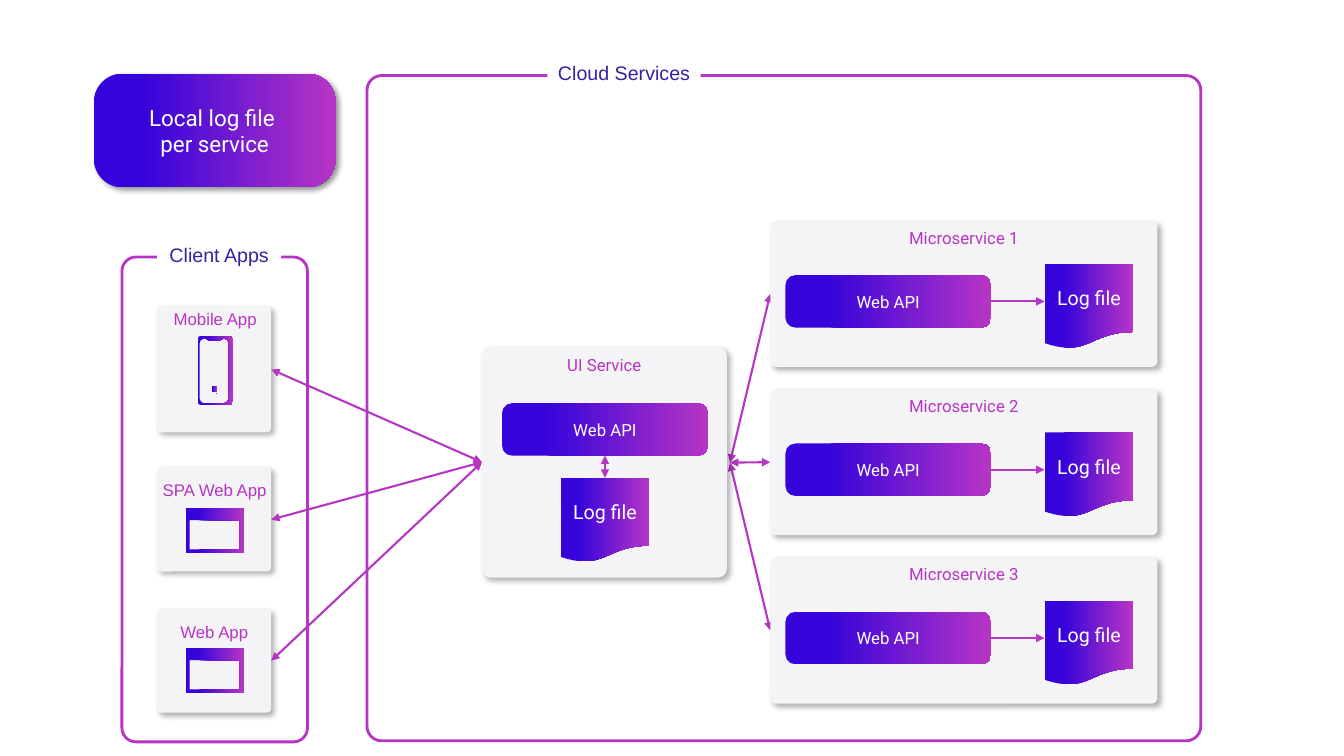
import math
from pptx import Presentation
from pptx.dml.color import RGBColor
from pptx.enum import shapes, text
from pptx.oxml import parse_xml
from pptx.oxml.ns import nsdecls, qn
from pptx import util as u

COLORS = {"blue": "3604DB", "magenta": "B735C4", "card": "F4F3F5",
          "title": "3A20A0", "white": "FFFFFF", "shadow": "000000"}
TOP, LEFT, BOTTOM, RIGHT = range(4)
RECT = shapes.MSO_SHAPE.RECTANGLE
ROUND = shapes.MSO_SHAPE.ROUNDED_RECTANGLE
DOCUMENT = shapes.MSO_SHAPE.FLOWCHART_DOCUMENT


def rgb(name):
    return RGBColor.from_string(COLORS[name])


def rounded(left, top, width, height, radius, steps=5):
    """Clockwise outline points, starting with the top left corner."""
    right, bottom = left + width, top + height
    centers = [(left + radius, top + radius), (right - radius, top + radius),
               (right - radius, bottom - radius), (left + radius, bottom - radius)]
    points = []
    for corner, (cx, cy) in enumerate(centers):
        for step in range(steps):
            a = math.radians(180 + 90 * (corner + step / (steps - 1)))
            points.append((cx + radius * math.cos(a), cy + radius * math.sin(a)))
    return points


class Diagram:
    def __init__(self, slide):
        self.shapes = slide.shapes

    def paint(self, sp, fill):
        sp.shadow.inherit = False
        sp.line.fill.background()
        if fill == "gradient":
            sp.fill.gradient()
            sp.fill.gradient_angle = 0
            for stop, position, color in zip(sp.fill.gradient_stops, (0.21, 1), ("blue", "magenta")):
                stop.position = position
                stop.color.rgb = rgb(color)
        elif fill:
            sp.fill.solid()
            sp.fill.fore_color.rgb = rgb(fill)
        else:
            sp.fill.background()

    def add_text(self, sp, lines, size, color, font="Roboto", anchor="MIDDLE", wrap=True):
        tf = sp.text_frame
        tf.word_wrap = wrap
        tf.vertical_anchor = text.MSO_ANCHOR[anchor]
        for i, line in enumerate(lines):
            p = tf.add_paragraph() if i else tf.paragraphs[0]
            p.alignment = text.PP_ALIGN.CENTER
            r = p.add_run()
            r.text = line
            r.font.size = u.Pt(size)
            r.font.name = font
            r.font.color.rgb = rgb(color)

    def box(self, kind, at, fill=None, radius=None):
        sp = self.shapes.add_shape(kind, *map(u.Inches, at))
        if radius is not None:
            sp.adjustments[0] = radius
        self.paint(sp, fill)
        return sp

    def cast_shadow(self, sp, alpha):
        effects = sp._element.spPr.find(qn("a:effectLst"))
        effects.append(parse_xml(
            f'<a:outerShdw {nsdecls("a")} blurRad="{u.Pt(4)}" dist="{u.Pt(3)}" dir="2700000" '
            f'algn="tl" rotWithShape="0"><a:srgbClr val="{COLORS["shadow"]}">'
            f'<a:alpha val="{alpha * 1000}"/></a:srgbClr></a:outerShdw>'))

    def card(self, at, title=None):
        sp = self.box(ROUND, at, "card", 0.039)
        self.cast_shadow(sp, 30)
        if title:
            self.add_text(sp, [title], 12, "magenta", anchor="TOP")
        return sp

    def frame(self, at, radius, title, title_at):
        sp = self.box(ROUND, at, radius=radius)
        sp.line.color.rgb = rgb("magenta")
        sp.line.width = u.Pt(2)
        plate = self.box(RECT, title_at, "white")
        self.add_text(plate, [title], 14, "title", "Arial", "TOP")

    def label(self, at, words):
        sp = self.shapes.add_textbox(*map(u.Inches, at))
        self.add_text(sp, [words], 12, "magenta", "Arial", "TOP", wrap=False)

    def web_api(self, left, top):
        sp = self.box(ROUND, (left, top, 2.04, 0.52), "gradient", 0.19)
        self.add_text(sp, ["Web API"], 12, "white")
        return sp

    def log_file(self, left, top):
        sp = self.box(DOCUMENT, (left, top, 0.88, 0.84), "gradient")
        self.add_text(sp, ["Log file"], 14, "white")
        return sp

    def icon(self, *contours):
        builder = None
        for contour in contours:
            start, *rest = [(u.Inches(x), u.Inches(y)) for x, y in contour]
            if builder is None:
                builder = self.shapes.build_freeform(*start)
            else:
                builder.move_to(*start)
            builder.add_line_segments(rest, close=True)
        self.paint(builder.convert_to_shape(), "gradient")

    def window_icon(self, left, top):
        right, bottom = left + 0.58, top + 0.45
        self.icon([(left, top), (left, bottom), (right, bottom), (right, top)],
                  [(right - 0.04, bottom - 0.04), (left + 0.04, bottom - 0.04),
                   (left + 0.04, top + 0.12), (right - 0.04, top + 0.12)])

    def phone_icon(self, left, top):
        screen = rounded(left + 0.02, top + 0.03, 0.29, 0.64, 0.05)
        notch = [(0.08, 0.03), (0.11, 0.05), (0.22, 0.05), (0.25, 0.03)]
        screen[5:5] = [(left + x, top + y) for x, y in notch]
        self.icon(rounded(left, top, 0.35, 0.69, 0.04), screen[::-1])
        self.box(RECT, (left + 0.14, top + 0.5, 0.05, 0.06), "gradient")
        for x in (0.14, 0.18):
            self.box(shapes.MSO_SHAPE.OVAL, (left + x, top + 0.57, 0.01, 0.01), "gradient")

    def arrow(self, start, end, both=True, behind=None):
        """Each end is a point (x, y) or a joint (shape, side)."""
        joined = [not isinstance(e[0], (int, float)) for e in (start, end)]
        points = [(0, 0) if j else tuple(map(u.Inches, e)) for j, e in zip(joined, (start, end))]
        line = self.shapes.add_connector(shapes.MSO_CONNECTOR.STRAIGHT, *points[0], *points[1])
        if joined[0]:
            line.begin_connect(*start)
        if joined[1]:
            line.end_connect(*end)
        line.line.color.rgb = rgb("magenta")
        line.line.width = u.Pt(1.5)
        ln = line._element.spPr.find(qn("a:ln"))
        for tag in ("headEnd", "tailEnd") if both else ("tailEnd",):
            ln.append(parse_xml(f'<a:{tag} {nsdecls("a")} type="triangle"/>'))
        line._element.spPr.append(parse_xml(f'<a:effectLst {nsdecls("a")}/>'))
        if behind is not None:
            behind._element.addprevious(line._element)


def main():
    prs = Presentation()
    prs.slide_width, prs.slide_height = u.Inches(13.33), u.Inches(7.5)
    s = Diagram(prs.slides.add_slide(prs.slide_layouts[6]))

    # Heading
    heading = s.box(ROUND, (0.93, 0.73, 2.4, 1.13), "gradient", 0.252)
    s.cast_shadow(heading, 40)
    s.add_text(heading, ["Local log file ", "per service"], 16, "white")

    # Client apps
    s.frame((1.21, 2.55, 1.84, 4.81), 0.075, "Client Apps", (1.56, 2.36, 1.23, 0.34))
    clients = [s.card((1.56, top, 1.13, height))
               for top, height in ((3.04, 1.25), (4.64, 1.03), (6.04, 1.03))]
    s.phone_icon(1.96, 3.33)
    s.window_icon(1.84, 5.04)
    s.window_icon(1.84, 6.43)
    s.label((1.61, 3.01, 1.05, 0.3), "Mobile App")
    s.label((1.5, 4.71, 1.26, 0.3), "SPA Web App")
    s.label((1.68, 6.12, 0.89, 0.3), "Web App")

    # Cloud services
    s.frame((3.64, 0.75, 8.27, 6.6), 0.022, "Cloud Services", (5.43, 0.56, 1.52, 0.34))
    services = []
    for i in range(3):
        top = 2.19 + 1.67 * i
        services.append(s.card((7.64, top, 3.84, 1.45), f"Microservice {i + 1}"))
        api = s.web_api(7.79, top + 0.54)
        s.arrow((api, RIGHT), (10.36, top + 0.8), both=False)
        s.log_file(10.36, top + 0.43)

    # UI service
    ui = s.card((4.78, 3.44, 2.43, 2.29), "UI Service")
    ui_log = s.log_file(5.56, 4.74)
    ui_api = s.web_api(4.98, 4)
    s.arrow((ui_log, TOP), (ui_api, BOTTOM))

    # Links between the parts, beneath the service cards
    for client in clients:
        s.arrow((client, RIGHT), (ui, LEFT), behind=services[0])
    for service in services:
        s.arrow((7.24, 4.59), (service, LEFT), behind=services[0])

    prs.save("out.pptx")


if __name__ == "__main__":
    main()
